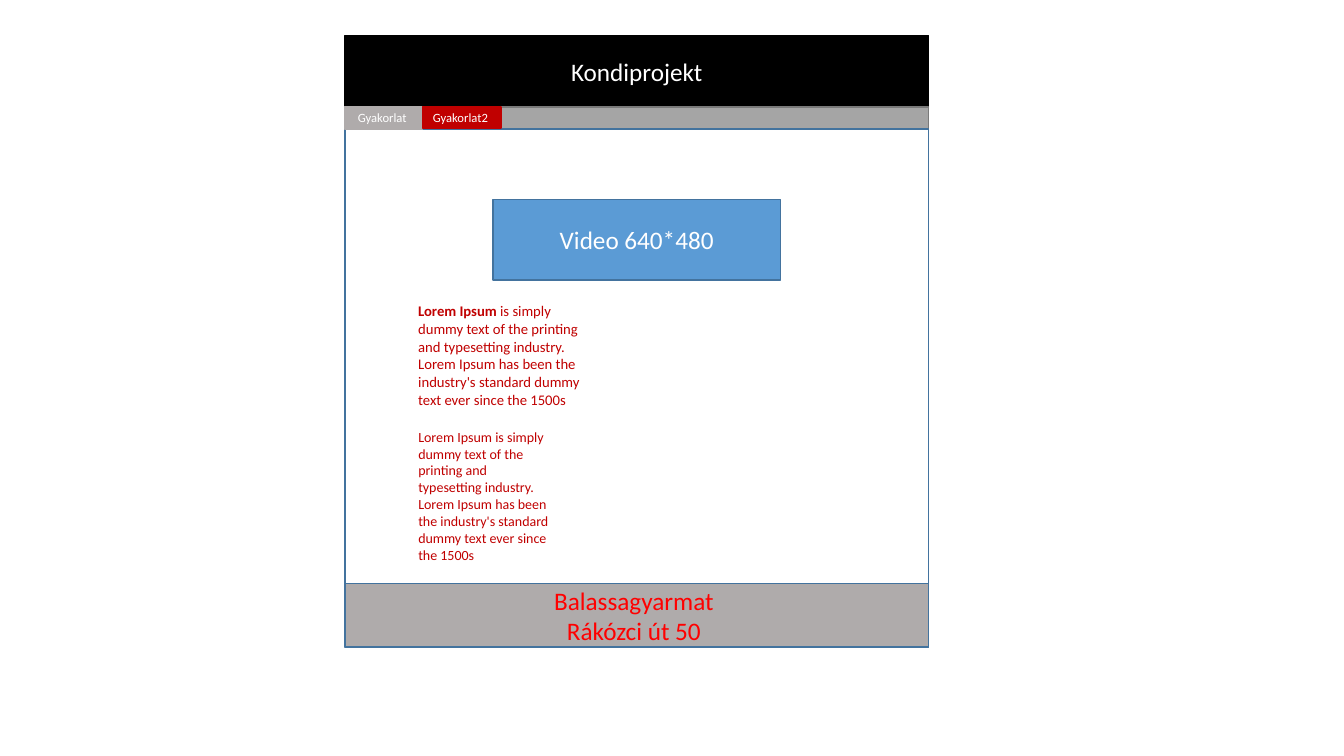
"""Build a wireframe slide of a training web page with tabs, a video and text."""
from pptx import Presentation
from pptx.dml.color import RGBColor
from pptx.enum.shapes import MSO_SHAPE
from pptx.enum.text import MSO_ANCHOR, MSO_AUTO_SIZE, PP_ALIGN
from pptx.util import Inches, Pt

RECTANGLE = MSO_SHAPE.RECTANGLE
MIDDLE, CENTER, LEFT = MSO_ANCHOR.MIDDLE, PP_ALIGN.CENTER, PP_ALIGN.LEFT
GROW = MSO_AUTO_SIZE.SHAPE_TO_FIT_TEXT

COLORS = {
    "black": "000000", "white": "FFFFFF", "bar": "A5A5A5", "bar edge": "7A7A7A",
    "blue": "5B9BD5", "edge": "43739E", "gray": "AFABAB",
    "dark red": "C00000", "red": "FF0000",
}

TITLE = "Kondiprojekt"
VIDEO = "Video 640*480"
ADDRESS = ["Balassagyarmat ", "Rákózci út 50 "]
TABS = [("Gyakorlat ", "gray", 0.77, 0.22), ("Gyakorlat2 ", "dark red", 0.78, 0.21)]
LEAD = "Lorem Ipsum"
REST = ("is simply dummy text of the printing and typesetting industry. "
        "Lorem Ipsum has been the industry's standard dummy text ever since the 1500s")
ARTICLES = [
    ([(LEAD, True), ("\u00a0" + REST, False)], 10.5, 2.95, 1.96, 1.16),
    ([(LEAD + " " + REST, False)], 10, 4.2, 1.51, 1.45),
]

SITE_LEFT, SITE_TOP, SITE_WIDTH = 3.42, 0.35, 5.79
HEADER_HEIGHT, MENU_HEIGHT, BODY_HEIGHT, FOOTER_HEIGHT = 0.71, 0.22, 5.14, 0.63
VIDEO_WIDTH, VIDEO_HEIGHT, VIDEO_GAP = 2.85, 0.8, 0.7
ARTICLE_LEFT = 4.05
MENU_TOP = SITE_TOP + HEADER_HEIGHT
BODY_TOP = MENU_TOP + MENU_HEIGHT
FOOTER_TOP = BODY_TOP + BODY_HEIGHT - FOOTER_HEIGHT

deck = Presentation()
deck.slide_width, deck.slide_height = Inches(13.33), Inches(7.5)
page = deck.slides.add_slide(deck.slide_layouts[6])


def color(name):
    return RGBColor.from_string(COLORS[name])


def write(box, paragraphs, size, ink, align):
    for number, spans in enumerate(paragraphs):
        frame = box.text_frame
        para = frame.add_paragraph() if number else frame.paragraphs[0]
        para.alignment = align
        for text, bold in spans:
            span = para.add_run()
            span.text = text
            font_format = {"name": "Calibri", "size": Pt(size), "bold": bold}
            for key, value in font_format.items():
                setattr(span.font, key, value)
            span.font.color.rgb = color(ink)


def add_block(place, fill, edge, lines=(), size=18, ink="white"):
    box = page.shapes.add_shape(RECTANGLE, *map(Inches, place))
    box.shadow.inherit = False
    if fill:
        box.fill.solid()
        box.fill.fore_color.rgb = color(fill)
    else:
        box.fill.background()
    box.line.color.rgb = color(edge)
    box.line.width = Pt(1)
    box.text_frame.vertical_anchor = MIDDLE
    write(box, [[(line, False)] for line in lines], size, ink, CENTER)


def add_article(spans, size, top, width, height):
    box = page.shapes.add_textbox(*map(Inches, (ARTICLE_LEFT, top, width, height)))
    for key, value in {"word_wrap": True, "auto_size": GROW}.items():
        setattr(box.text_frame, key, value)
    write(box, [spans], size, "dark red", LEFT)


def band(top, height):
    return SITE_LEFT, top, SITE_WIDTH, height


video_left = SITE_LEFT + (SITE_WIDTH - VIDEO_WIDTH) / 2
video_place = (video_left, BODY_TOP + VIDEO_GAP, VIDEO_WIDTH, VIDEO_HEIGHT)

add_block(band(SITE_TOP, HEADER_HEIGHT), "black", "black", [TITLE])
add_block(band(MENU_TOP, MENU_HEIGHT), "bar", "bar edge")
add_block(band(BODY_TOP, BODY_HEIGHT), None, "edge")
add_block(video_place, "blue", "edge", [VIDEO])
for article in ARTICLES:
    add_article(*article)
add_block(band(FOOTER_TOP, FOOTER_HEIGHT), "gray", "edge", ADDRESS, ink="red")

tab_left = SITE_LEFT
for label, fill, width, height in TABS:
    add_block((tab_left, MENU_TOP, width, height), fill, fill, [label], size=9)
    tab_left += width

deck.save("out.pptx")
